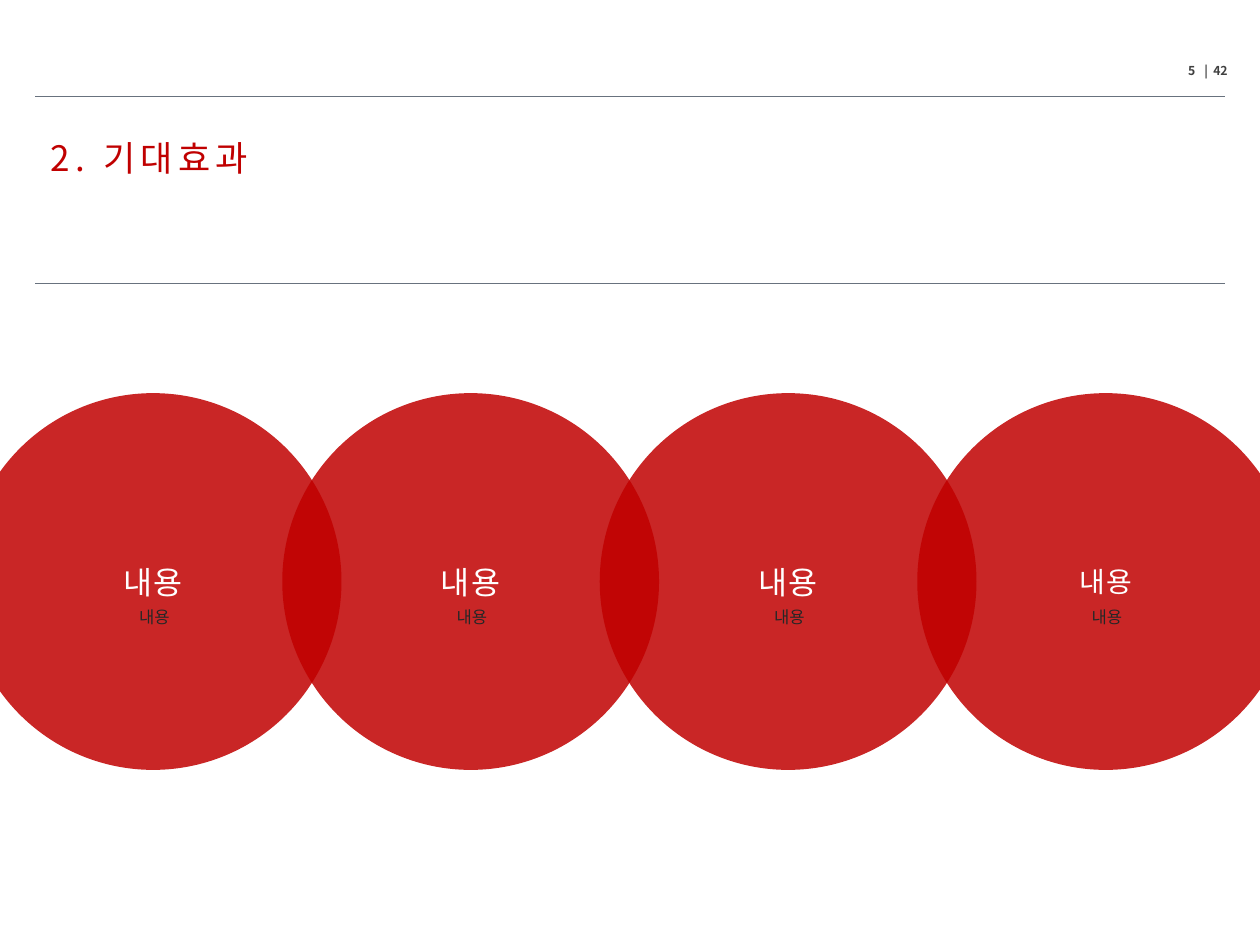
"""Build the expected-effects slide with four overlapping circles."""
from lxml.etree import SubElement
from pptx import Presentation
from pptx.dml.color import RGBColor
from pptx.enum.shapes import MSO_CONNECTOR, MSO_SHAPE
from pptx.enum.text import MSO_ANCHOR, MSO_AUTO_SIZE, PP_ALIGN
from pptx.oxml.ns import qn
from pptx.util import Inches, Pt

FONT = "Noto Sans CJK KR"
COLORS = {"red": "C00000", "rule": "68727E", "page": "404040",
          "white": "FFFFFF", "dark": "262626"}


def color(name):
    """Return the named colour."""
    return RGBColor.from_string(COLORS[name])


def format_text(paragraph, size, color_name, spacing=0, bold=False):
    """Set font, size, colour and letter spacing on a paragraph."""
    font = paragraph.font
    font.name, font.size, font.bold = FONT, Pt(size), bold
    font.color.rgb = color(color_name)
    properties = paragraph._p.pPr.find(qn("a:defRPr"))
    properties.set("spc", str(round(spacing * 100)))
    SubElement(properties, qn("a:ea"), typeface=FONT)


def add_rule(slide, top):
    """Draw a thin rule across the slide."""
    rule = slide.shapes.add_connector(
        MSO_CONNECTOR.STRAIGHT, Inches(0.28), Inches(top), Inches(9.72), Inches(top))
    rule.line.color.rgb = color("rule")
    rule.line.width = Pt(0.25)
    SubElement(rule._element.spPr, qn("a:effectLst"))


def set_title(slide, text):
    """Move and format the title placeholder."""
    title = slide.shapes.title
    title.left, title.top = Inches(0.3), Inches(1.07)
    title.width, title.height = Inches(2.34), Inches(0.4)
    frame = title.text_frame
    frame.text = text
    frame.auto_size = MSO_AUTO_SIZE.SHAPE_TO_FIT_TEXT
    frame.vertical_anchor = MSO_ANCHOR.TOP
    paragraph = frame.paragraphs[0]
    paragraph.alignment = PP_ALIGN.LEFT
    paragraph.line_spacing = 0.9
    format_text(paragraph, 20, "red", spacing=3)


def add_page_number(slide, page, total):
    """Add the page number, its parts set apart by tab stops."""
    box = slide.shapes.add_textbox(Inches(7.28), Inches(0.48), Inches(2.56), Inches(0.2))
    frame = box.text_frame
    frame.word_wrap = True
    frame.margin_left, frame.margin_right = Inches(2.15), 0
    paragraph = frame.paragraphs[0]
    paragraph.text = f"{page}\t|\t{total}"
    paragraph.line_spacing = 0.8
    tabs = SubElement(paragraph._p.get_or_add_pPr(), qn("a:tabLst"))
    for position in (0.13, 0.2):
        SubElement(tabs, qn("a:tab"), pos=str(Inches(position)), algn="l")
    format_text(paragraph, 7, "page", bold=True)


def add_circle(slide, left, text, size):
    """Add a translucent circle with a centred heading."""
    circle = slide.shapes.add_shape(
        MSO_SHAPE.OVAL, Inches(left), Inches(3.12), Inches(2.99), Inches(2.99))
    circle.shadow.inherit = False
    circle.line.fill.background()
    circle.fill.solid()
    circle.fill.fore_color.rgb = color("red")
    fill_color = circle._element.spPr.find(qn("a:solidFill"))[0]
    SubElement(fill_color, qn("a:alpha"), val="85000")
    frame = circle.text_frame
    frame.text = text
    frame.vertical_anchor = MSO_ANCHOR.MIDDLE
    paragraph = frame.paragraphs[0]
    paragraph.alignment = PP_ALIGN.CENTER
    format_text(paragraph, size, "white", spacing=0.8)


def add_caption(slide, left, text):
    """Add a small caption below a circle's heading."""
    box = slide.shapes.add_textbox(Inches(left), Inches(4.77), Inches(0.45), Inches(0.26))
    frame = box.text_frame
    frame.text = text
    frame.word_wrap = False
    frame.auto_size = MSO_AUTO_SIZE.SHAPE_TO_FIT_TEXT
    paragraph = frame.paragraphs[0]
    paragraph.alignment = PP_ALIGN.CENTER
    format_text(paragraph, 9.5, "dark")


def main():
    """Assemble and save the slide."""
    presentation = Presentation()
    presentation.slide_width, presentation.slide_height = Inches(10), Inches(7.5)
    slide = presentation.slides.add_slide(presentation.slide_layouts[5])
    for top in (0.76, 2.25):
        add_rule(slide, top)
    set_title(slide, "2. 기대효과")
    add_page_number(slide, 5, 42)
    contents = [("내용", 18, "내용"), ("내용", 18, "내용"),
                ("내용", 18, "내용"), ("내용", 16, "내용")]
    pitch = 2.52
    for index, (heading, size, _) in enumerate(contents):
        add_circle(slide, -0.28 + index * pitch, heading, size)
    for index, (_, _, caption) in enumerate(contents):
        add_caption(slide, 1 + index * pitch, caption)
    presentation.save("out.pptx")


if __name__ == "__main__":
    main()
